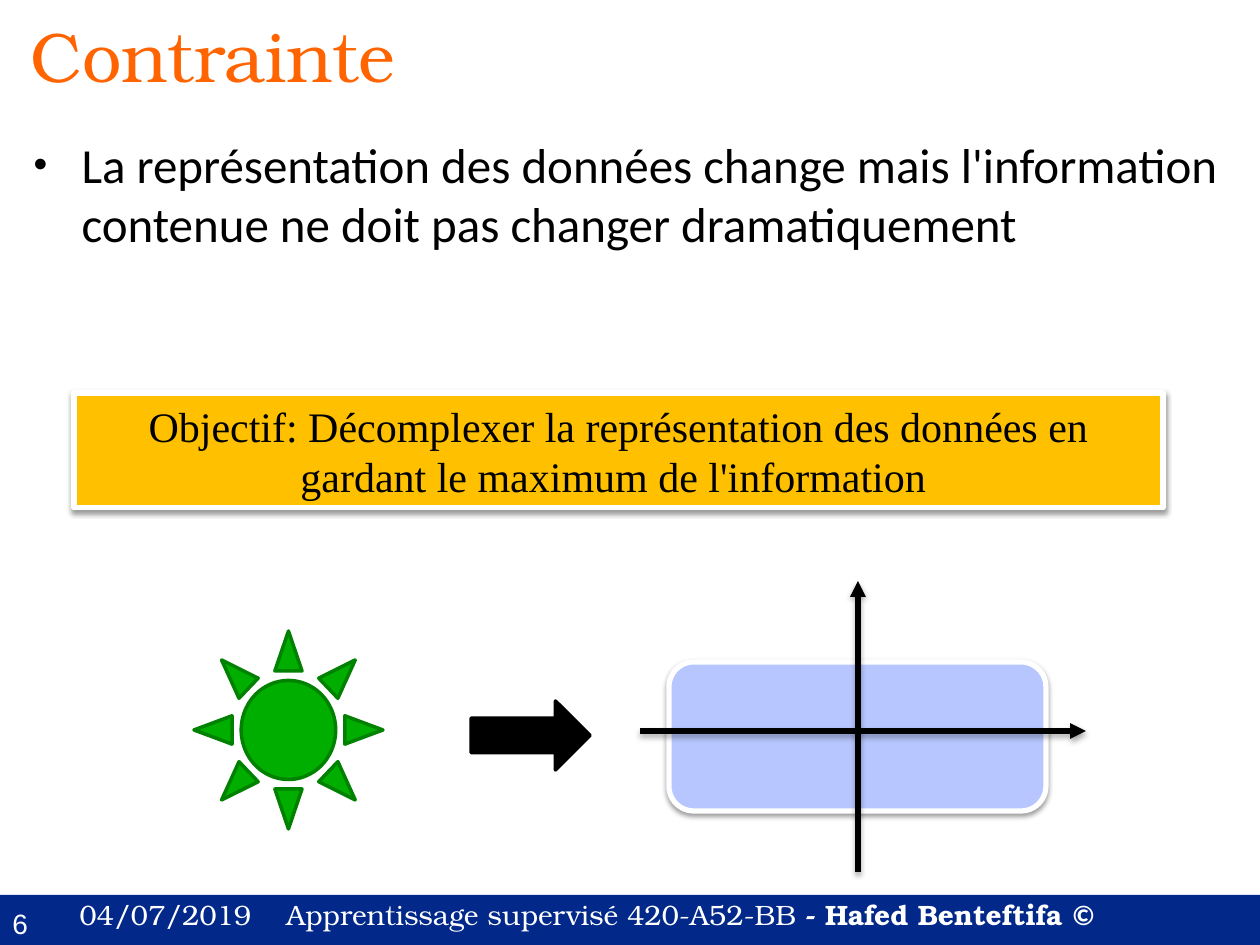
from lxml import etree
from pptx import Presentation
from pptx.dml.color import RGBColor
from pptx.enum.shapes import MSO_CONNECTOR, MSO_SHAPE
from pptx.enum.text import MSO_ANCHOR, MSO_AUTO_SIZE, PP_ALIGN
from pptx.oxml.ns import qn
from pptx.util import Pt

RECTANGLE, ROUNDED = MSO_SHAPE.RECTANGLE, MSO_SHAPE.ROUNDED_RECTANGLE
SUN, RIGHT_ARROW = MSO_SHAPE.SUN, MSO_SHAPE.RIGHT_ARROW
STRAIGHT = MSO_CONNECTOR.STRAIGHT
TOP, MIDDLE = MSO_ANCHOR.TOP, MSO_ANCHOR.MIDDLE
LEFT, CENTER = PP_ALIGN.LEFT, PP_ALIGN.CENTER
NO_AUTOFIT = MSO_AUTO_SIZE.NONE

EMU_PER_PX = 914400 / 126
COLORS = {
    "white": "FFFFFF", "black": "000000", "footer": "02298A", "title": "FF6400",
    "goal": "FFC000", "sun": "00AE00", "sun_edge": "008100", "plane": "B7C6FE",
}
SERIF, SANS, TIMES, ARIAL = "TeX Gyre Bonum", "Calibri", "Times New Roman", "Arial"


def px(length):
    return round(length * EMU_PER_PX)


def color(name):
    return RGBColor.from_string(COLORS[name])


def add_xml(parent, tag, **attributes):
    values = {key: str(value) for key, value in attributes.items()}
    return etree.SubElement(parent, qn(tag), values)


def set_shadow(properties, opacity=0, distance=0):
    """Give the shape properties a downward shadow, or none at zero opacity."""
    effects = add_xml(properties, "a:effectLst")
    if opacity:
        shadow = add_xml(effects, "a:outerShdw", blurRad=Pt(3.1), dist=Pt(distance),
                         dir=5400000, rotWithShape=0)
        shade = add_xml(shadow, "a:srgbClr", val=COLORS["black"])
        add_xml(shade, "a:alpha", val=opacity * 1000)


class SlideBuilder:
    """Holds the slide being built and its common style."""

    def __init__(self, slide):
        self.slide = slide

    def fill_text(self, shape, runs, size, ink, align=LEFT, anchor=TOP):
        """Fill the shape with one paragraph of (text, font, bold) runs."""
        frame = shape.text_frame
        frame.word_wrap = True
        frame.auto_size = NO_AUTOFIT
        frame.vertical_anchor = anchor
        paragraph = frame.paragraphs[0]
        paragraph.alignment = align
        for text, font_name, bold in runs:
            run = paragraph.add_run()
            run.text = text
            run.font.name = font_name
            run.font.size = Pt(size)
            run.font.bold = bold
            run.font.color.rgb = color(ink)

    def place(self, shape, left, top, width, height):
        shape.left, shape.top = px(left), px(top)
        shape.width, shape.height = px(width), px(height)
        return shape

    def title(self, text, *box):
        shape = self.place(self.slide.shapes.title, *box)
        self.fill_text(shape, [(text, SERIF, False)], 40, "title")

    def bullet(self, text, *box):
        shape = self.place(self.slide.placeholders[1], *box)
        paragraph = shape.text_frame.paragraphs[0]
        properties = paragraph._p.get_or_add_pPr()
        properties.set("marL", str(px(48)))
        properties.set("indent", str(px(-48)))
        bullet_color = add_xml(properties, "a:buClr")
        add_xml(bullet_color, "a:srgbClr", val=COLORS["black"])
        add_xml(properties, "a:buSzPct", val=80000)
        add_xml(properties, "a:buFont", typeface=ARIAL)
        add_xml(properties, "a:buChar", char="•")
        paragraph.space_before = Pt(0)
        self.fill_text(shape, [(text, SANS, False)], 28, "black")

    def label(self, runs, size, ink, *box, tab=None):
        shape = self.slide.shapes.add_textbox(*map(px, box))
        if tab:
            properties = shape.text_frame.paragraphs[0]._p.get_or_add_pPr()
            stops = add_xml(properties, "a:tabLst")
            add_xml(stops, "a:tab", pos=px(tab), algn="l")
        self.fill_text(shape, runs, size, ink)

    def shape(self, kind, fill, *box, line=None, weight=2, raised=False):
        shape = self.slide.shapes.add_shape(kind, *map(px, box))
        shape.fill.solid()
        shape.fill.fore_color.rgb = color(fill)
        if line:
            shape.line.color.rgb = color(line)
            shape.line.width = Pt(weight)
        else:
            shape.line.fill.background()
        set_shadow(shape._element.spPr, 38 if raised else 0, 1.6)
        return shape

    def axis(self, *ends):
        connector = self.slide.shapes.add_connector(STRAIGHT, *map(px, ends))
        connector.line.color.rgb = color("black")
        connector.line.width = Pt(3)
        add_xml(connector.line._get_or_add_ln(), "a:tailEnd", type="triangle")
        set_shadow(connector._element.spPr, 35, 1.8)


def main():
    presentation = Presentation()
    presentation.slide_width, presentation.slide_height = px(1260), px(945)
    builder = SlideBuilder(presentation.slides.add_slide(presentation.slide_layouts[1]))

    builder.shape(RECTANGLE, "footer", 0, 895, 1260, 50)
    builder.label([("6", ARIAL, False)], 16, "white", 0, 900, 84, 47)
    builder.label([("04/07/2019\tApprentissage supervisé 420-A52-BB ", SERIF, False),
                   ("- Hafed Benteftifa ", SERIF, True), ("©", SANS, True)],
                  16, "white", 67, 891, 1193, 54, tab=207)

    builder.title("Contrainte", 18, 6, 1220, 117)
    builder.bullet("La représentation des données change mais l'information "
                   "contenue ne doit pas changer dramatiquement", 21, 128, 1218, 716)

    goal = builder.shape(RECTANGLE, "goal", 74, 393, 1089, 115,
                         line="white", weight=3, raised=True)
    builder.fill_text(goal, [("Objectif: Décomplexer la représentation des données en "
                              "gardant le maximum de l'information ", TIMES, False)],
                      24, "black", CENTER, MIDDLE)

    builder.shape(SUN, "sun", 194, 631, 189, 198, line="sun_edge")
    builder.shape(RIGHT_ARROW, "black", 471, 701, 119, 69, line="black")
    builder.shape(ROUNDED, "plane", 669, 662, 377, 149,
                  line="white", weight=3, raised=True)
    builder.axis(640, 731, 1086, 731)
    builder.axis(858, 872, 858, 581)

    presentation.save("out.pptx")


if __name__ == "__main__":
    main()
